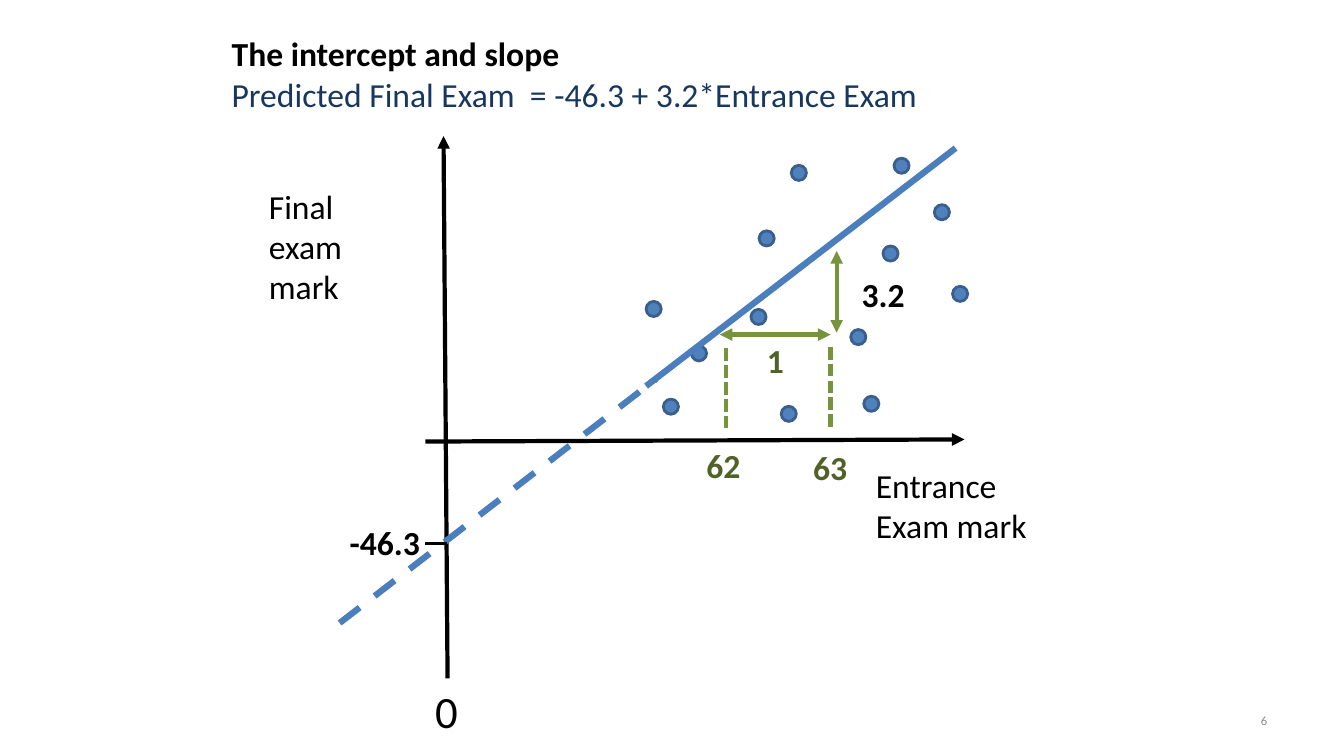
"""Build a slide that explains the intercept and slope of a regression line."""
from dataclasses import dataclass

from lxml import etree
from pptx import Presentation
from pptx.dml.color import RGBColor
from pptx.enum.dml import MSO_LINE
from pptx.enum.shapes import MSO_CONNECTOR, MSO_SHAPE
from pptx.enum.text import MSO_ANCHOR, MSO_AUTO_SIZE, PP_ALIGN
from pptx.oxml.ns import qn
from pptx.util import Pt

STRAIGHT = MSO_CONNECTOR.STRAIGHT
OVAL = MSO_SHAPE.OVAL
DASH, SHORT_DASH = MSO_LINE.DASH, MSO_LINE.SQUARE_DOT
LEFT, RIGHT = PP_ALIGN.LEFT, PP_ALIGN.RIGHT
TOP, MIDDLE = MSO_ANCHOR.TOP, MSO_ANCHOR.MIDDLE
FIT_SHAPE, FIXED = MSO_AUTO_SIZE.SHAPE_TO_FIT_TEXT, MSO_AUTO_SIZE.NONE


@dataclass(frozen=True)
class Theme:
    """Colours, font and sizes of the slide."""
    font: str = "Calibri"
    black: str = "000000"
    navy: str = "17375E"
    trend: str = "4B7EBC"
    dot_fill: str = "4F81BD"
    dot_line: str = "3A5F8C"
    green: str = "77933C"
    dark_green: str = "4F6228"
    grey: str = "8C8C8C"
    body_size: float = 24
    origin_size: float = 32
    number_size: float = 9
    axis_width: float = 3
    trend_width: float = 4.5
    tick_width: float = 2.25
    dot_width: float = 2
    dot_size: float = 10.8


THEME = Theme()

DOTS = [
    (542.2, 164.9), (461.5, 215.3), (493.9, 247), (630.7, 175.7), (536.4, 221),
    (473.8, 285.1), (617, 283), (607.7, 235.4), (565.2, 118.1), (667.4, 146.2),
    (680.4, 204.5), (638.6, 113), (558, 290.2),
]


def write_text(paragraph, text, theme, size=None, color=None, bold=False,
               align=LEFT, indent=0):
    """Write text into a paragraph with the given format."""
    paragraph.alignment = align
    if indent:
        paragraph._p.get_or_add_pPr().set("marL", str(Pt(indent)))
    run = paragraph.add_run()
    run.text = text
    run.font.name = theme.font
    run.font.size = Pt(size or theme.body_size)
    run.font.bold = bold
    run.font.color.rgb = RGBColor.from_string(color or theme.black)


class SlideBuilder:
    """Hold the theme and the current slide, and add elements to it."""

    def __init__(self, slide, theme):
        """Keep the slide and its theme."""
        self.slide = slide
        self.theme = theme

    def text(self, left, top, width, height, lines, wrap=False, fit=FIT_SHAPE,
             anchor=TOP, **text_format):
        """Add a text box from pairs of text and line format."""
        shape = self.slide.shapes.add_textbox(Pt(left), Pt(top), Pt(width), Pt(height))
        frame = shape.text_frame
        frame.word_wrap = wrap
        frame.auto_size = fit
        frame.vertical_anchor = anchor
        for index, (line, line_format) in enumerate(lines):
            paragraph = frame.add_paragraph() if index else frame.paragraphs[0]
            write_text(paragraph, line, self.theme, **text_format, **line_format)

    def label(self, left, top, width, height, *lines, **text_format):
        """Add a label whose lines share one format."""
        self.text(left, top, width, height, [(line, {}) for line in lines], **text_format)

    def dot(self, left, top):
        """Add a data point."""
        size = Pt(self.theme.dot_size)
        shape = self.slide.shapes.add_shape(OVAL, Pt(left), Pt(top), size, size)
        shape.shadow.inherit = False
        shape.fill.solid()
        shape.fill.fore_color.rgb = RGBColor.from_string(self.theme.dot_fill)
        shape.line.color.rgb = RGBColor.from_string(self.theme.dot_line)
        shape.line.width = Pt(self.theme.dot_width)

    def line(self, start, end, color, width, dash=None, arrows=()):
        """Add a straight line, with arrowheads at the named ends."""
        connector = self.slide.shapes.add_connector(
            STRAIGHT, *(Pt(value) for value in (*start, *end)))
        connector.line.color.rgb = RGBColor.from_string(color)
        connector.line.width = Pt(width)
        if dash:
            connector.line.dash_style = dash
        properties = connector._element.spPr
        for arrow in arrows:
            etree.SubElement(properties.find(qn("a:ln")), qn(f"a:{arrow}"), type="triangle")
        etree.SubElement(properties, qn("a:effectLst"))


def draw_plot(builder):
    """Draw the axes, the data points, the trend line and the slope marks."""
    theme = builder.theme
    for start, end in [((303.8, 315.4), (689, 313.9)), ((319.7, 484.6), (316.8, 97.2))]:
        builder.line(start, end, theme.black, theme.axis_width, arrows=("tailEnd",))
    for left, top in DOTS:
        builder.dot(left, top)
    builder.line((461.5, 275.8), (682.6, 105.8), theme.trend, theme.trend_width)
    builder.line((242.6, 445), (468.7, 270.7), theme.trend, theme.trend_width, dash=DASH)
    builder.line((303.8, 388.1), (319, 388.1), theme.black, theme.tick_width)
    for start, end in [((514.1, 239), (593.3, 239)), ((597.6, 237.6), (597.6, 179.3))]:
        builder.line(start, end, theme.green, theme.axis_width,
                     arrows=("headEnd", "tailEnd"))
    for x, bottom in [(518.4, 306), (593.3, 304.9)]:
        builder.line((x, bottom), (x, bottom - 58.7), theme.green, theme.axis_width,
                     dash=SHORT_DASH)


def write_labels(builder):
    """Write the title, the axis names, the values and the slide number."""
    theme = builder.theme
    builder.text(136.8, 20.2, 761, 65.5, [
        ("The intercept and slope", {"bold": True}),
        ("Predicted Final Exam  = -46.3 + 3.2*Entrance Exam", {"color": theme.navy}),
    ], wrap=True, indent=21.6)
    builder.label(618.5, 328.3, 123.1, 65.5, "Entrance", "Exam mark")
    builder.label(185, 128.9, 67, 94.3, "Final", "exam", "mark")
    builder.label(303.8, 484.6, 31, 46.1, "0", size=theme.origin_size)
    for text, left, top, width, color in [
        ("-46.3", 242.6, 369.4, 64.8, theme.black),
        ("3.2", 608.4, 192.2, 45.4, theme.black),
        ("1", 540.7, 239, 26.6, theme.dark_green),
        ("62", 497.5, 314.6, 38.9, theme.dark_green),
        ("63", 573.8, 315.4, 38.9, theme.dark_green),
    ]:
        builder.label(left, top, width, 36.4, text, color=color, bold=True)
    builder.label(688.3, 500.4, 223.9, 28.8, "6", size=theme.number_size,
                  color=theme.grey, align=RIGHT, wrap=True, fit=FIXED, anchor=MIDDLE)


def main():
    """Build and save the presentation."""
    presentation = Presentation()
    presentation.slide_width = Pt(960)
    presentation.slide_height = Pt(540)
    slide = presentation.slides.add_slide(presentation.slide_layouts[6])
    builder = SlideBuilder(slide, THEME)
    draw_plot(builder)
    write_labels(builder)
    presentation.save("out.pptx")


if __name__ == "__main__":
    main()
